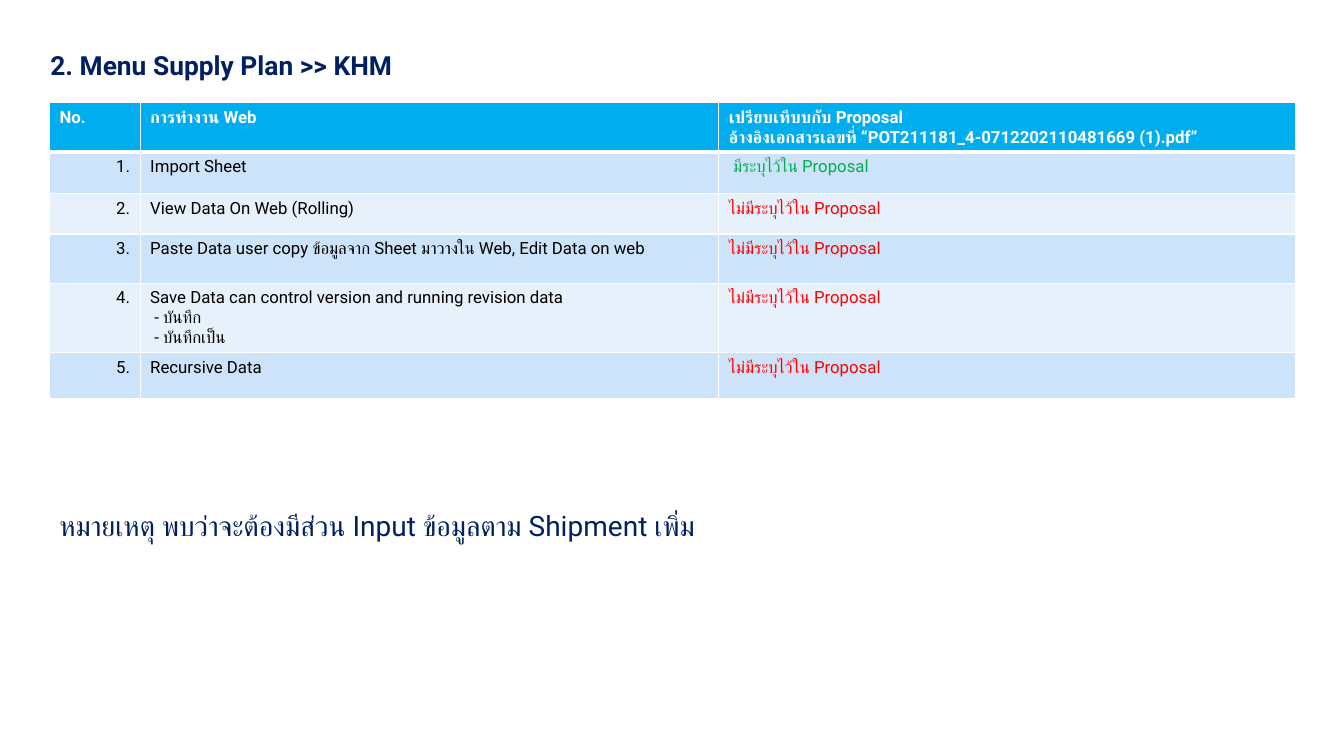
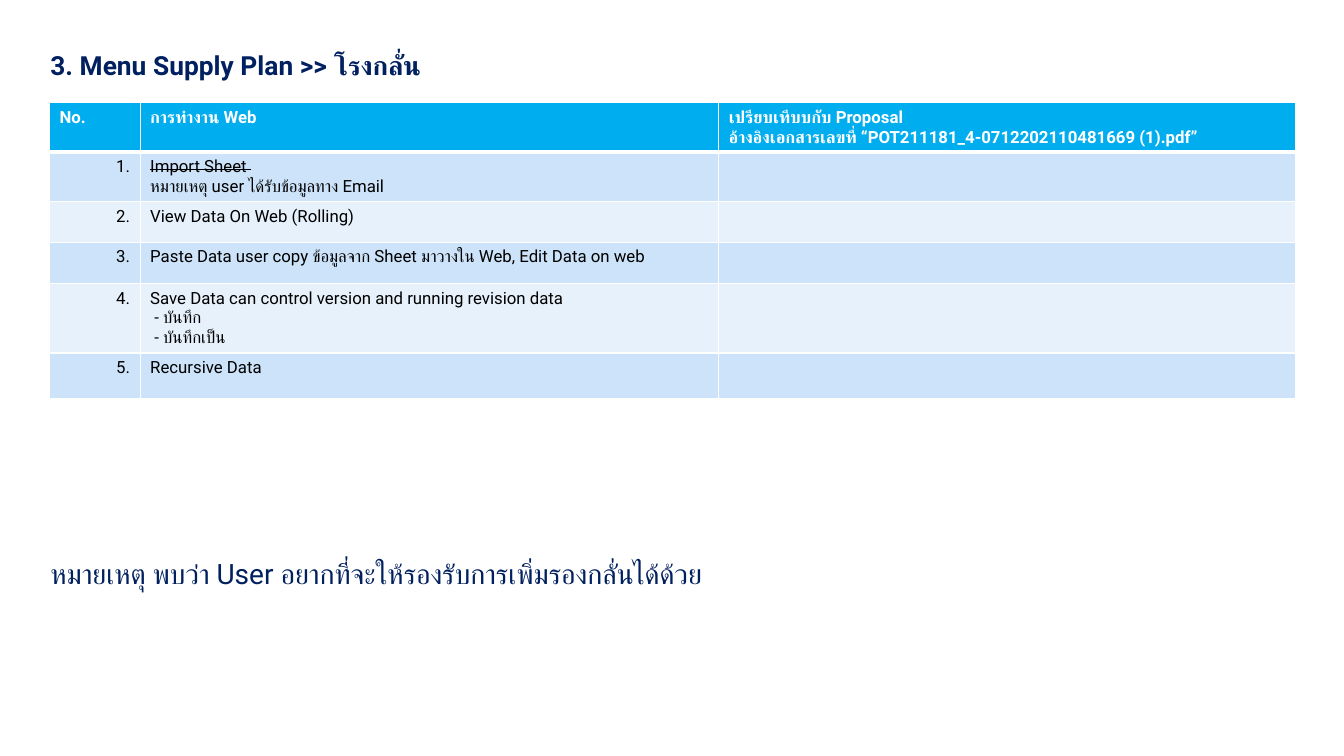
from pptx import Presentation
from pptx.dml.color import RGBColor
from pptx.enum.text import MSO_ANCHOR, MSO_AUTO_SIZE, PP_ALIGN
from pptx.oxml.ns import qn
from pptx.util import Inches, Pt
from lxml.etree import SubElement

# Shared look
FONT = "Roboto"
NAVY, WHITE, BLACK = "002060", "FFFFFF", "000000"
GREEN, RED = "00B050", "FF0000"
HEADER_FILL = "00ADEF"
BAND_FILLS = ["CCE3F9", "E7F1FC"]
TITLE_TEXT = {"size": Pt(18.8), "bold": True}
NOTE_TEXT = {"size": Pt(20), "bold": False}
HEADER_TEXT = {"size": Pt(12), "bold": True}
BODY_TEXT = {"size": Pt(12), "bold": False}

# Shared table content
COLUMN_WIDTHS = [0.9, 5.74, 5.72]
HEADER_HEIGHT = 0.48
HEADINGS = [
    ["No."],
    ["การทำงาน Web"],
    ["เปรียบเทีบบกับ Proposal",
     "อ้างอิงเอกสารเลขที่ “POT211181_4-0712202110481669 (1).pdf”"],
]
VIEW = ["View Data On Web (Rolling)"]
PASTE = ["Paste Data user copy ข้อมูลจาก Sheet มาวางใน Web, Edit Data on web"]
SAVE = ["Save Data can control version and running revision data",
        " - บันทึก", " - บันทึกเป็น"]
RECURSIVE = ["Recursive Data"]
IN_PROPOSAL = ([" มีระบุไว้ใน Proposal"], GREEN)
NOT_IN_PROPOSAL = (["ไม่มีระบุไว้ใน Proposal"], RED)
NO_ANSWER = ([""], BLACK)


def rgb(hex_code):
    return RGBColor.from_string(hex_code)


def write_lines(frame, lines, style, color, align=PP_ALIGN.LEFT, spacing=1.0):
    """Write one paragraph per line, all in the same style."""
    for index, line in enumerate(lines):
        paragraph = frame.paragraphs[0] if index == 0 else frame.add_paragraph()
        paragraph.alignment = align
        paragraph.line_spacing = spacing
        if not line:
            SubElement(paragraph._p, qn("a:endParaRPr"), sz=str(int(style["size"].pt * 100)))
            continue
        run = paragraph.add_run()
        run.text = line
        run.font.name = FONT
        run.font.color.rgb = rgb(color)
        for name, value in style.items():
            setattr(run.font, name, value)
        # Thai letters take the complex-script font
        SubElement(run.font._element, qn("a:cs"), typeface=FONT)


def format_frame(frame, bottom_margin):
    settings = {
        "word_wrap": True,
        "auto_size": MSO_AUTO_SIZE.NONE,
        "vertical_anchor": MSO_ANCHOR.BOTTOM,
        "margin_left": Inches(0.1),
        "margin_right": Inches(0.1),
        "margin_top": Inches(0.05),
        "margin_bottom": Inches(bottom_margin),
    }
    for name, value in settings.items():
        setattr(frame, name, value)


def add_title(slide, text):
    title = slide.shapes.title
    title.left, title.top = Inches(0.4), Inches(0.47)
    title.width, title.height = Inches(9.95), Inches(0.59)
    format_frame(title.text_frame, 0.27)
    write_lines(title.text_frame, [text], TITLE_TEXT, NAVY, spacing=0.7)


def add_note(slide, text, left, top):
    note = slide.shapes.add_textbox(Inches(left), Inches(top), Inches(9.95), Inches(0.59))
    format_frame(note.text_frame, 0.05)
    write_lines(note.text_frame, [text], NOTE_TEXT, NAVY, spacing=0.9)


def set_borders(cell, top, bottom):
    """White borders; the widths of the top and bottom ones are in points."""
    properties = cell._tc.get_or_add_tcPr()
    for side, points in {"L": 1, "R": 1, "T": top, "B": bottom}.items():
        line = SubElement(properties, qn(f"a:ln{side}"), w=str(Pt(points)))
        fill = SubElement(line, qn("a:solidFill"))
        SubElement(fill, qn("a:srgbClr"), val=WHITE)


def fill_cell(cell, fill, lines, style, color, align=PP_ALIGN.LEFT, top=1, bottom=1):
    set_borders(cell, top, bottom)
    cell.fill.solid()
    cell.fill.fore_color.rgb = rgb(fill)
    write_lines(cell.text_frame, lines, style, color, align)


def add_comparison_table(slide, tasks, answers, task_heights):
    heights = [HEADER_HEIGHT] + task_heights
    table = slide.shapes.add_table(
        len(heights), len(COLUMN_WIDTHS), Inches(0.49), Inches(1.02),
        Inches(sum(COLUMN_WIDTHS)), Inches(sum(heights))).table
    for column, width in zip(table.columns, COLUMN_WIDTHS):
        column.width = Inches(width)
    for row, height in zip(table.rows, heights):
        row.height = Inches(height)

    # Header row
    for column, heading in enumerate(HEADINGS):
        fill_cell(table.cell(0, column), HEADER_FILL, heading, HEADER_TEXT, WHITE, bottom=3)

    # Numbered tasks
    for number, (task, (answer, color)) in enumerate(zip(tasks, answers), start=1):
        fill = BAND_FILLS[(number - 1) % 2]
        top = 3 if number == 1 else 1
        fill_cell(table.cell(number, 0), fill, [f"{number}."], BODY_TEXT, BLACK,
                  PP_ALIGN.RIGHT, top=top)
        fill_cell(table.cell(number, 1), fill, task, BODY_TEXT, BLACK, top=top)
        fill_cell(table.cell(number, 2), fill, answer, BODY_TEXT, color, top=top)
    return table


def add_menu_slide(prs, title):
    slide = prs.slides.add_slide(prs.slide_layouts[5])
    add_title(slide, title)
    return slide


def main():
    prs = Presentation()
    prs.slide_width, prs.slide_height = Inches(13.33), Inches(7.5)

    # KHM menu
    khm = add_menu_slide(prs, "2. Menu Supply Plan >> KHM")
    add_comparison_table(
        khm, [["Import Sheet"], VIEW, PASTE, SAVE, RECURSIVE],
        [IN_PROPOSAL] + [NOT_IN_PROPOSAL] * 4, [0.41, 0.4, 0.49, 0.69, 0.45])
    add_note(khm, "หมายเหตุ พบว่าจะต้องมีส่วน Input ข้อมูลตาม Shipment เพิ่ม", 0.49, 4.84)

    # Refinery menu
    refinery = add_menu_slide(prs, "3. Menu Supply Plan >> โรงกลั่น")
    import_task = ["Import Sheet ", "หมายเหตุ user ได้รับข้อมูลทาง Email"]
    table = add_comparison_table(
        refinery, [import_task, VIEW, PASTE, SAVE, RECURSIVE],
        [NO_ANSWER] * 5, [0.49, 0.4, 0.41, 0.69, 0.45])
    dropped_task = table.cell(1, 1).text_frame.paragraphs[0].runs[0]
    dropped_task.font._element.set("strike", "sngStrike")
    add_note(refinery, "หมายเหตุ พบว่า User อยากที่จะให้รองรับการเพิ่มรองกลั่นได้ด้วย", 0.4, 5.32)

    prs.save("out.pptx")


if __name__ == "__main__":
    main()
